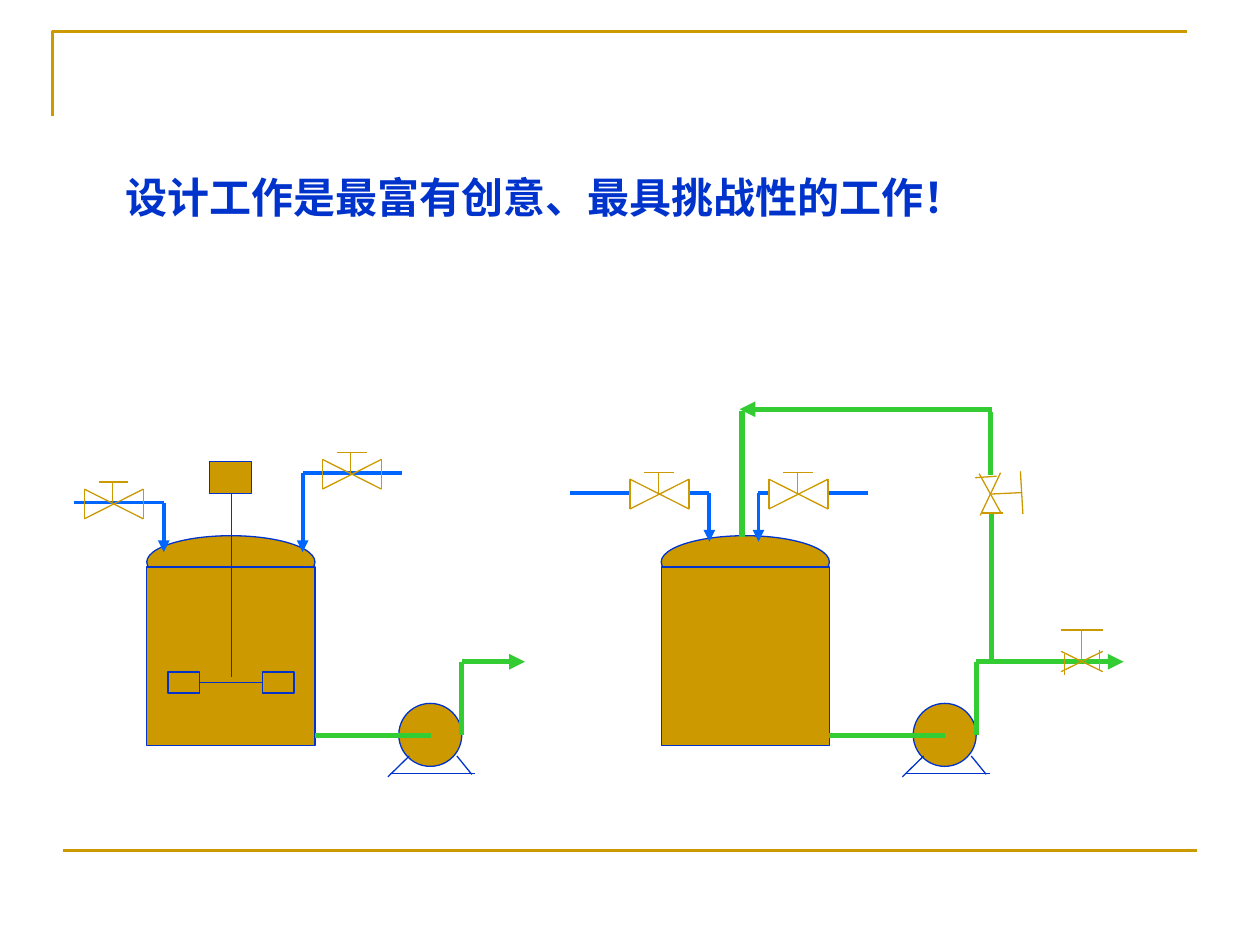
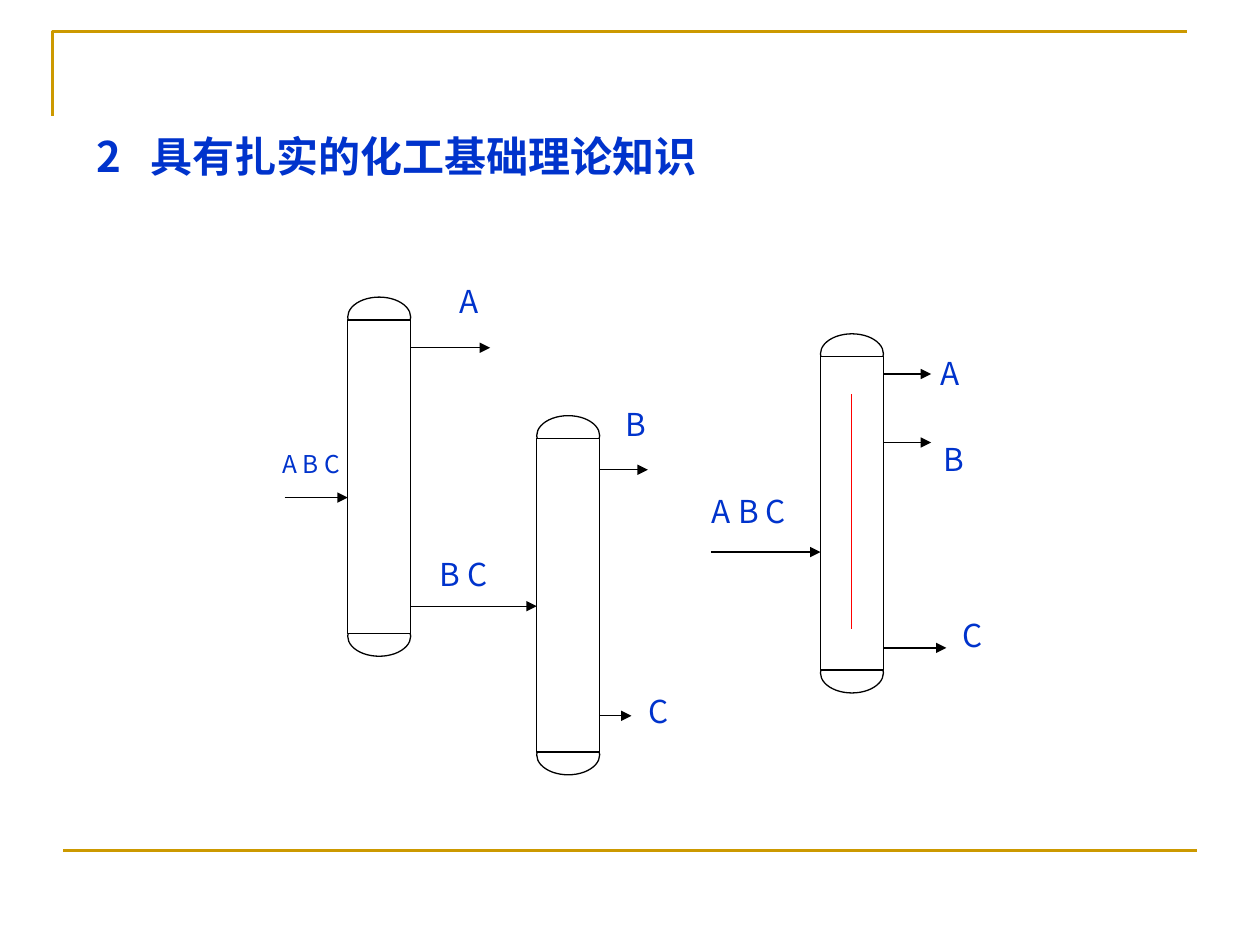
from dataclasses import dataclass
from itertools import pairwise

from lxml import etree
from pptx import Presentation
from pptx.dml.color import RGBColor
from pptx.enum.shapes import MSO_CONNECTOR, MSO_SHAPE
from pptx.enum.text import PP_ALIGN
from pptx.oxml.ns import qn
from pptx.util import Cm, Pt

STRAIGHT = MSO_CONNECTOR.STRAIGHT
ELLIPSE = MSO_SHAPE.OVAL
RECTANGLE = MSO_SHAPE.RECTANGLE
JUSTIFY = PP_ALIGN.JUSTIFY
LEFT = PP_ALIGN.LEFT
BLANK_LAYOUT = 6
LEFT_SIDE, RIGHT_SIDE = 1, 3


@dataclass(frozen=True)
class Theme:
    gold: RGBColor = RGBColor(0xCC, 0x99, 0x00)
    navy: RGBColor = RGBColor(0x00, 0x33, 0xCC)
    feed_blue: RGBColor = RGBColor(0x00, 0x66, 0xFF)
    product_green: RGBColor = RGBColor(0x33, 0xCC, 0x33)
    wall_red: RGBColor = RGBColor(0xFF, 0x00, 0x00)
    black: RGBColor = RGBColor(0x00, 0x00, 0x00)
    white: RGBColor = RGBColor(0xFF, 0xFF, 0xFF)
    thin: float = 0.75
    frame: float = 1.5
    feed_pipe: float = 2.25
    product_pipe: float = 3
    title_size: int = 24
    label_size: int = 18
    small_label_size: int = 14
    sans_font: str = "Noto Sans CJK SC"
    serif_font: str = "Times New Roman"


THEME = Theme()

VALVE = [
    ((0, 0), (0, 0.6)),
    ((1.19, 0), (1.19, 0.6)),
    ((0, 0), (1.19, 0.6)),
    ((1.19, 0), (0, 0.6)),
    ((0.29, -0.14), (0.89, -0.14)),
    ((0.57, -0.14), (0.57, 0.27)),
]
OUTLET_VALVE = [
    ((0.07, 0.05), (0.07, 0.48)),
    ((0.78, -0.02), (0.78, 0.38)),
    ((0.84, 0), (0, 0.41)),
    ((0, 0), (0.84, 0.41)),
    ((0.41, -0.43), (0.41, 0.21)),
    ((0, -0.43), (0.84, -0.43)),
]
RETURN_VALVE = [
    ((0.43, 0.1), (0, 0.13)),
    ((0.56, 0.84), (0.13, 0.84)),
    ((0.53, 0.86), (0.08, 0.05)),
    ((0.51, 0.03), (0.1, 0.89)),
    ((0.94, 0.43), (0.3, 0.46)),
    ((0.91, 0), (0.96, 0.86)),
]
PUMP_STAND = [
    ((5.29, 15.24), (4.86, 15.66)),
    ((6.25, 15.24), (6.55, 15.61)),
    ((4.91, 15.59), (6.62, 15.59)),
]


def add_line(slide, start, end, color, width=THEME.thin, arrow=False):
    line = slide.shapes.add_connector(STRAIGHT, *map(Cm, (*start, *end)))
    line.line.color.rgb = color
    line.line.width = Pt(width)
    if arrow:
        outline = line.line._get_or_add_ln()
        etree.SubElement(outline, qn("a:tailEnd"), type="triangle")
    etree.SubElement(line._element.spPr, qn("a:effectLst"))
    return line


def add_pipe(slide, points, color, width, arrow=False):
    segments = list(pairwise(points))
    for number, (start, end) in enumerate(segments, 1):
        add_line(slide, start, end, color, width, arrow and number == len(segments))


def add_strokes(slide, strokes, left, top, color):
    for (x1, y1), (x2, y2) in strokes:
        add_line(slide, (left + x1, top + y1), (left + x2, top + y2), color)


def add_part(slide, kind, left, top, width, height, fill, outline):
    part = slide.shapes.add_shape(kind, Cm(left), Cm(top), Cm(width), Cm(height))
    part.shadow.inherit = False
    part.fill.solid()
    part.fill.fore_color.rgb = fill
    part.line.color.rgb = outline
    part.line.width = Pt(THEME.thin)
    return part


def add_text(slide, text, left, top, width, height=1.02, size=THEME.label_size,
             font=THEME.sans_font, bold=False, align=LEFT, tab=None):
    box = slide.shapes.add_textbox(Cm(left), Cm(top), Cm(width), Cm(height))
    box.text_frame.word_wrap = True
    paragraph = box.text_frame.paragraphs[0]
    paragraph.alignment = align
    if tab:
        properties = paragraph._p.get_or_add_pPr()
        stops = etree.SubElement(properties, qn("a:tabLst"))
        etree.SubElement(stops, qn("a:tab"), pos=str(Cm(tab)), algn="l")
    run = paragraph.add_run()
    run.text = text
    run.font.size = Pt(size)
    run.font.bold = bold
    run.font.color.rgb = THEME.navy
    run.font.name = font
    etree.SubElement(run._r.get_or_add_rPr(), qn("a:ea"), typeface=THEME.sans_font)


def add_title(slide, text, left, top, width, font, tab=None):
    add_text(slide, text, left, top, width, 1.27, THEME.title_size, font, True, tab=tab)


def add_framed_slide(presentation):
    slide = presentation.slides.add_slide(presentation.slide_layouts[BLANK_LAYOUT])
    builder = slide.shapes.build_freeform(Cm(1.06), Cm(2.33))
    builder.add_line_segments([(Cm(1.06), Cm(0.64)), (Cm(23.92), Cm(0.64))], close=False)
    corner = builder.convert_to_shape()
    corner.shadow.inherit = False
    corner.fill.background()
    corner.line.color.rgb = THEME.gold
    corner.line.width = Pt(THEME.frame)
    add_line(slide, (1.27, 17.15), (24.13, 17.15), THEME.gold, THEME.frame)
    return slide


def add_equipment(slide, kind, left, top, width, height):
    return add_part(slide, kind, left, top, width, height, THEME.gold, THEME.navy)


def add_tank_with_pump(slide, left, outlet_length):
    add_equipment(slide, ELLIPSE, left, 10.8, 3.39, 1.06)
    add_equipment(slide, RECTANGLE, left, 11.43, 3.39, 3.6)
    add_equipment(slide, ELLIPSE, left + 5.08, 14.18, 1.27, 1.27)
    add_strokes(slide, PUMP_STAND, left, 0, THEME.navy)
    riser = left + 6.35
    suction = [(left + 3.39, 14.82), (left + 5.72, 14.82)]
    discharge = [(riser, 14.82), (riser, 13.34), (riser + outlet_length, 13.34)]
    add_pipe(slide, suction, THEME.product_green, THEME.product_pipe)
    add_pipe(slide, discharge, THEME.product_green, THEME.product_pipe, arrow=True)


def add_agitator(slide):
    add_line(slide, (4.66, 9.84), (4.66, 13.65), THEME.navy)
    left_paddle, right_paddle = [
        add_equipment(slide, RECTANGLE, left, 13.55, 0.64, 0.42) for left in (3.39, 5.29)
    ]
    crossbar = add_line(slide, (4.03, 13.76), (5.29, 13.76), THEME.navy)
    crossbar.begin_connect(left_paddle, RIGHT_SIDE)
    crossbar.end_connect(right_paddle, LEFT_SIDE)
    add_equipment(slide, RECTANGLE, 4.23, 9.31, 0.84, 0.64)


def add_column(slide, left, top):
    for kind, offset, height in ((ELLIPSE, 0, 0.81), (ELLIPSE, 6.43, 0.81),
                                 (RECTANGLE, 0.46, 6.32)):
        add_part(slide, kind, left, top + offset, 1.27, height, THEME.white, THEME.black)


def build_mixing_slide(presentation):
    slide = add_framed_slide(presentation)
    add_title(slide, "设计工作是最富有创意、最具挑战性的工作！", 2.29, 3.33, 18.31,
              THEME.serif_font)

    add_tank_with_pump(slide, 2.96, 1.27)
    add_agitator(slide)
    add_tank_with_pump(slide, 13.33, 2.97)

    return_pipes = [
        ([(19.99, 10.37), (19.99, 13.34)], False),
        ([(14.96, 10.82), (14.96, 8.28)], False),
        ([(19.97, 8.31), (19.97, 9.57)], False),
        ([(19.99, 8.25), (14.91, 8.25)], True),
    ]
    for points, arrow in return_pipes:
        add_pipe(slide, points, THEME.product_green, THEME.product_pipe, arrow)

    feed_pipes = [
        ([(1.5, 10.13), (3.3, 10.13), (3.3, 11.13)], True),
        ([(8.1, 9.53), (6.1, 9.53), (6.1, 11.13)], True),
        ([(11.5, 9.93), (12.7, 9.93)], False),
        ([(13.89, 9.93), (14.3, 9.93), (14.3, 10.92)], True),
        ([(17.5, 9.93), (16.69, 9.93)], False),
        ([(15.49, 9.93), (15.29, 9.93), (15.29, 10.92)], True),
    ]
    for points, arrow in feed_pipes:
        add_pipe(slide, points, THEME.feed_blue, THEME.feed_pipe, arrow)

    for left, top in ((1.7, 9.86), (6.5, 9.26), (12.7, 9.66), (15.5, 9.66)):
        add_strokes(slide, VALVE, left, top, THEME.gold)
    add_strokes(slide, OUTLET_VALVE, 21.39, 13.13, THEME.gold)
    add_strokes(slide, RETURN_VALVE, 19.66, 9.5, THEME.gold)


def build_distillation_slide(presentation):
    slide = add_framed_slide(presentation)
    add_title(slide, "2\t具有扎实的化工基础理论知识", 1.7, 2.51, 17.78,
              THEME.sans_font, tab=1.08)

    for left, top in ((7.01, 5.99), (10.82, 8.38), (16.54, 6.73)):
        add_column(slide, left, top)

    streams = [
        (5.74, 7.01, 10.03), (8.28, 9.88, 7.01), (8.28, 10.82, 12.22),
        (12.09, 13.06, 9.47), (12.09, 12.73, 14.43),
        (14.33, 16.54, 11.13), (17.81, 18.77, 7.54),
        (17.81, 18.77, 8.92), (17.81, 19.08, 13.06),
    ]
    for start, end, height in streams:
        add_line(slide, (start, height), (end, height), THEME.black, arrow=True)
    add_line(slide, (17.17, 7.95), (17.17, 12.67), THEME.wall_red)

    add_text(slide, "A B C", 5.44, 8.92, 2.54, 1.65, THEME.small_label_size, align=JUSTIFY)
    labels = [
        ("A", 9.02, 5.56, 1.27), ("B C", 8.61, 11.07, 2.11),
        ("B", 12.37, 8.05, 0.89), ("C", 12.83, 13.82, 1.09),
        ("A B C", 14.1, 9.8, 2.74), ("A", 18.72, 7.01, 0.89),
        ("B", 18.77, 8.74, 1.27), ("C", 19.15, 12.29, 0.89),
    ]
    for label in labels:
        add_text(slide, *label)


def main():
    presentation = Presentation()
    presentation.slide_width = Cm(25.4)
    presentation.slide_height = Cm(19.05)
    build_mixing_slide(presentation)
    build_distillation_slide(presentation)
    presentation.save("out.pptx")


if __name__ == "__main__":
    main()
